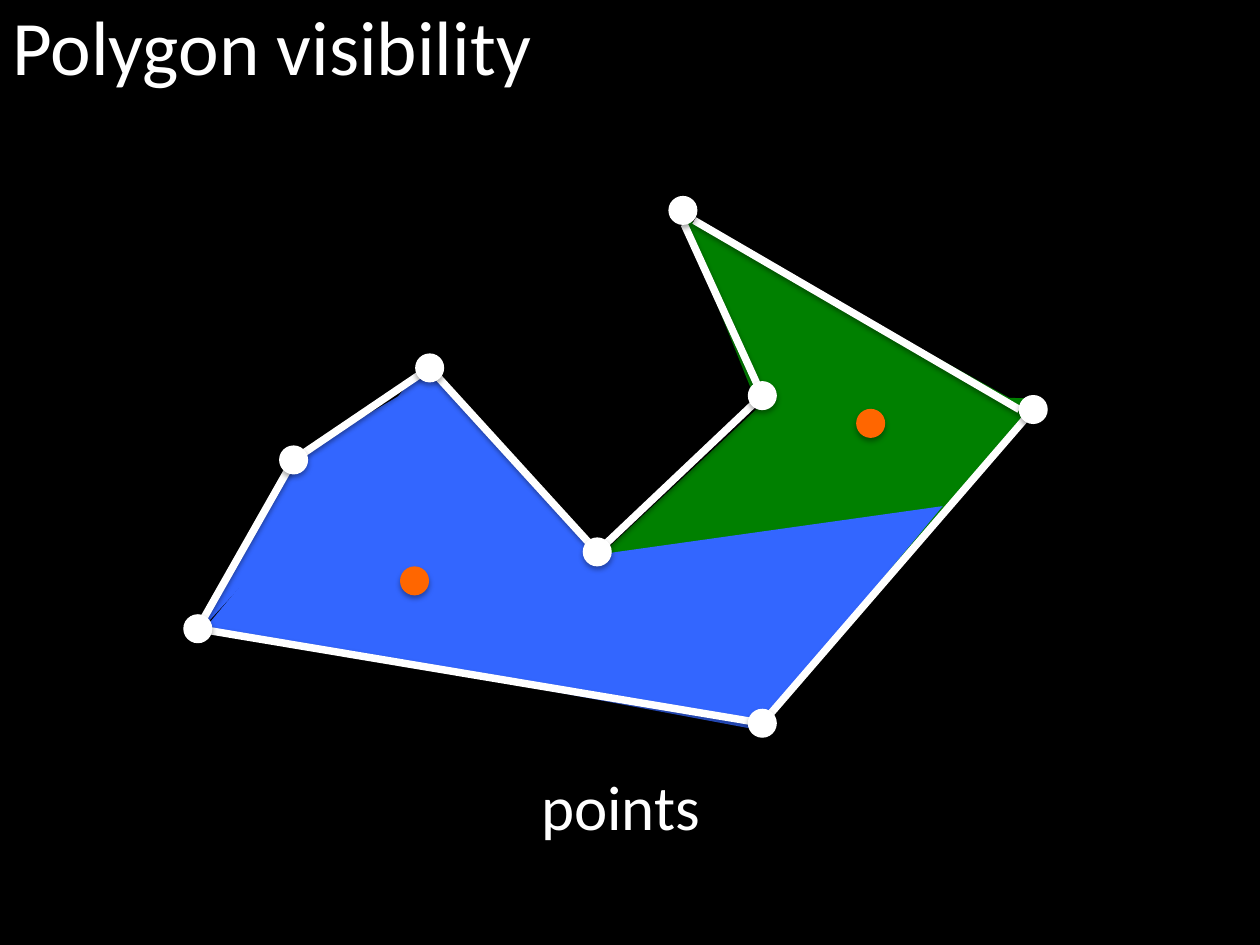
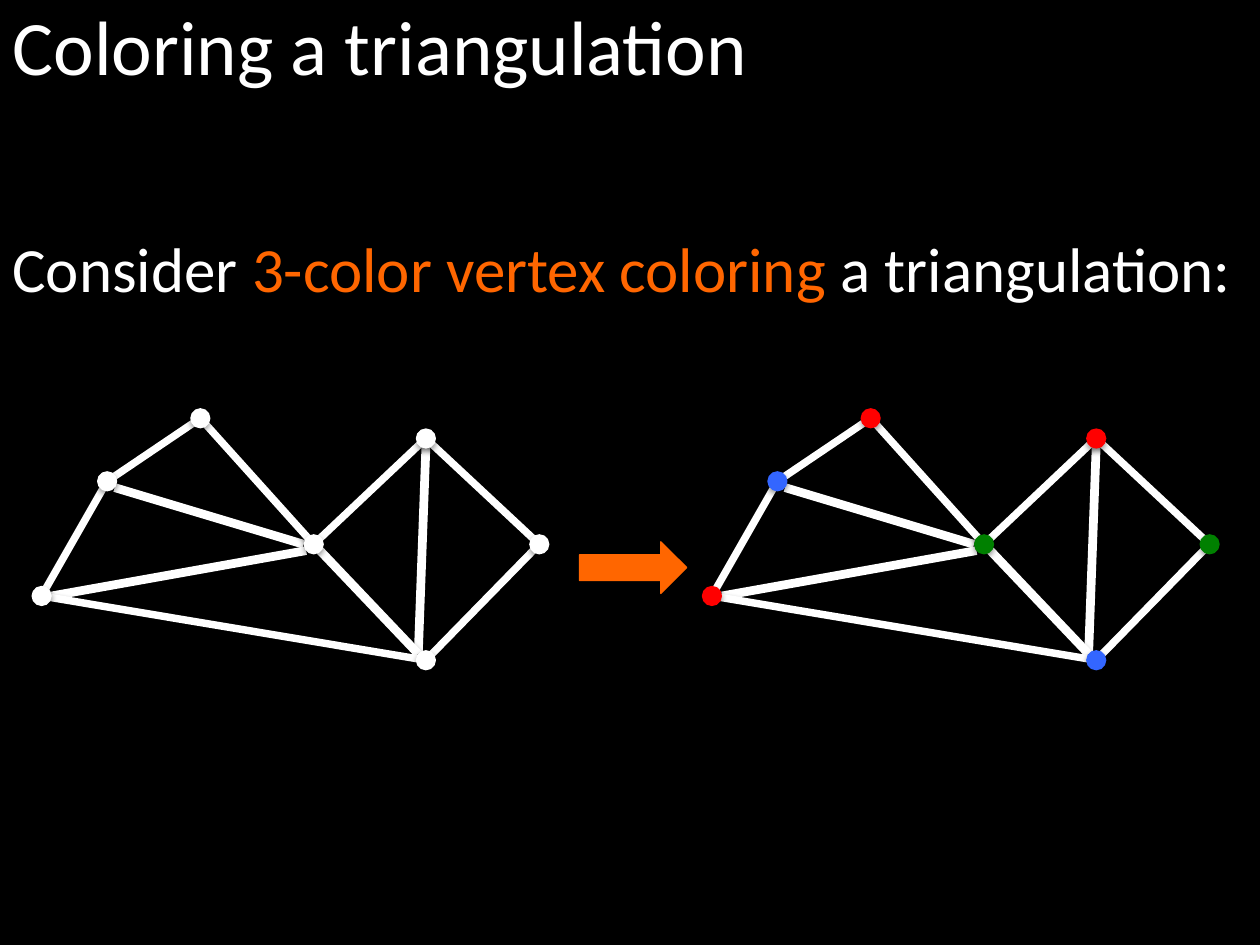
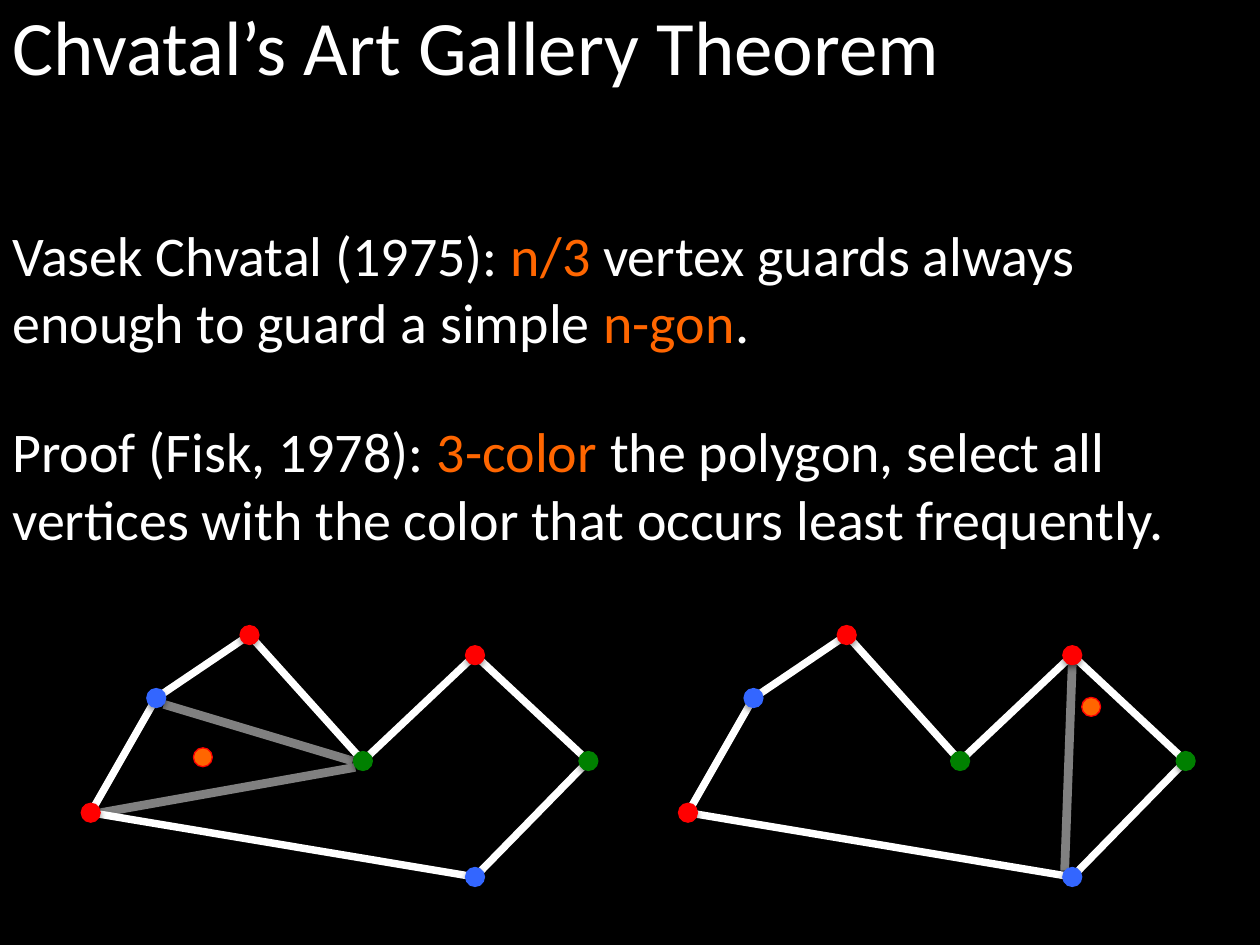
import dataclasses

import pptx
import pptx.dml.color
import pptx.enum.shapes
import pptx.enum.text
import pptx.oxml
import pptx.oxml.ns
import pptx.util
from lxml import etree

Inches, Pt = pptx.util.Inches, pptx.util.Pt
SHAPE = pptx.enum.shapes.MSO_SHAPE
ALIGN = pptx.enum.text.PP_ALIGN
qn = pptx.oxml.ns.qn


@dataclasses.dataclass(frozen=True)
class Theme:
    font: str = "Calibri"
    background: str = "000000"
    text: str = "FFFFFF"
    accent: str = "FF6600"
    red: str = "FF0000"
    green: str = "008000"
    blue: str = "3366FF"
    gray: str = "808080"
    title_size: float = 44
    label_size: float = 36
    body_size: float = 32
    edge_width: float = 4.25
    diagonal_width: float = 5
    outline_width: float = 0.75


THEME = Theme()

# Small polygon, measured from its first corner's left and its top corner's height
VERTICES = {
    "A": (0, 1.41), "B": (0.52, 0.5), "C": (1.26, 0), "D": (2.16, 1),
    "E": (3.05, 0.16), "F": (3.95, 1), "G": (3.05, 1.92),
}
EDGES = ("BC", "CD", "DE", "BA", "AG", "GF", "EF")
DIAGONALS = {
    "BD": ((0.58, 0.55), (2.08, 1)),
    "AD": ((0.08, 1.41), (2.1, 1.05)),
    "GE": ((2.99, 1.87), (3.05, 0.23)),
    "GD": ((2.99, 1.87), (2.21, 1.05)),
}
THREE_COLORING = {
    "A": THEME.red, "B": THEME.blue, "C": THEME.red, "D": THEME.green,
    "E": THEME.red, "F": THEME.green, "G": THEME.blue,
}
SMALL_DOT = 0.15

# Large polygon on the visibility slide
GALLERY = {
    "A": (1.57, 4.99), "B": (2.33, 3.65), "C": (3.41, 2.92), "D": (4.74, 4.38),
    "E": (6.05, 3.14), "apex": (5.42, 1.67), "G": (6.05, 5.74), "F": (8.2, 3.25),
}
GALLERY_EDGES = ("BC", "CD", "DE", "BA", "AG", "GF")
LARGE_DOT = 0.22

# Triangles: left, top, width, height, rotation, apex position
GREEN_REGION = [
    (3.24, 4.19, 4.31, 1.81, 153.6, 0.431),
    (4.78, 3.08, 3.43, 1.69, 310.2, 0.592),
    (4.96, 2.42, 3.19, 1, 209.1, 0.612),
    (4.45, 3.79, 2.23, 0.72, 136.9, 0.243),
]
BLUE_REGION = [
    (1.02, 3.68, 2.72, 0.37, 312.4, 0.562),
    (3.3, 4.31, 4.31, 1.55, 172, 0.395),
    (1.82, 3.01, 4.42, 2.39, 10.6, 0.302),
]


def rgb(color):
    return pptx.dml.color.RGBColor.from_string(color)


def cast_shadow(sp, opacity, distance):
    """Give a shape or connector a soft black shadow straight below it."""
    spPr = sp._element.spPr
    effects = spPr.find(qn("a:effectLst"))
    if effects is None:
        effects = etree.SubElement(spPr, qn("a:effectLst"))
    shadow = etree.SubElement(
        effects, qn("a:outerShdw"), blurRad=str(Pt(3.1)), dist=str(Pt(distance)),
        dir="5400000", rotWithShape="0")
    color = etree.SubElement(shadow, qn("a:srgbClr"), val="000000")
    etree.SubElement(color, qn("a:alpha"), val=str(opacity * 1000))


class Deck:
    def __init__(self, theme):
        self.theme = theme
        self.prs = pptx.Presentation()
        self.prs.slide_width, self.prs.slide_height = Inches(10), Inches(7.5)
        fill = self.prs.slide_master.background.fill
        fill.solid()
        fill.fore_color.rgb = rgb(theme.background)

    def new_slide(self, title):
        self.s = self.prs.slides.add_slide(self.prs.slide_layouts[6])
        self.shapes = self.s.shapes
        self.text(0, -0.06, 9.31, 0.84, [title], self.theme.title_size)

    def start_group(self):
        """Collect the elements that follow in a new group."""
        self.shapes = self.s.shapes.add_group_shape().shapes

    def end_group(self):
        self.shapes = self.s.shapes

    def text(self, x, y, w, h, lines, size, align=None, hanging=False):
        """Write one paragraph per line; words between asterisks are accented."""
        box = self.shapes.add_textbox(Inches(x), Inches(y), Inches(w), Inches(h))
        tf = box.text_frame
        tf.word_wrap = True
        tf.auto_size = pptx.enum.text.MSO_AUTO_SIZE.SHAPE_TO_FIT_TEXT
        for i, line in enumerate(lines):
            p = tf.add_paragraph() if i else tf.paragraphs[0]
            p.alignment = align
            if hanging:
                pPr = p._p.get_or_add_pPr()
                pPr.set("marL", str(Inches(0.81)))
                pPr.set("indent", str(-Inches(0.81)))
            for j, part in enumerate(line.split("*")):
                r = p.add_run()
                r.text = part
                r.font.name, r.font.size = self.theme.font, Pt(size)
                r.font.color.rgb = rgb(self.theme.accent if j % 2 else self.theme.text)

    def shape(self, kind, x, y, w, h, fill, outline=None):
        """Add a filled preset shape; an outlined one also casts a shadow."""
        sp = self.shapes.add_shape(kind, Inches(x), Inches(y), Inches(w), Inches(h))
        sp.shadow.inherit = False
        sp.fill.solid()
        sp.fill.fore_color.rgb = rgb(fill)
        if outline:
            sp.line.color.rgb = rgb(outline)
            sp.line.width = Pt(self.theme.outline_width)
            cast_shadow(sp, 35, 1.8)
        else:
            sp.line.fill.background()
        return sp

    def dot(self, center, size, fill, outline=None):
        x, y = center
        self.shape(SHAPE.OVAL, x - size / 2, y - size / 2, size, size, fill, outline or fill)

    def triangle(self, x, y, w, h, rotation, apex, fill):
        sp = self.shape(SHAPE.ISOSCELES_TRIANGLE, x, y, w, h, fill)
        sp.adjustments[0] = apex
        sp.rotation = rotation

    def edge(self, start, end, color=None, width=None):
        line = self.shapes.add_connector(
            pptx.enum.shapes.MSO_CONNECTOR.STRAIGHT, *map(Inches, (*start, *end)))
        line.line.color.rgb = rgb(color or self.theme.text)
        line.line.width = Pt(width or self.theme.edge_width)
        cast_shadow(line, 38, 1.6)

    def visible_region(self, triangles, point, color):
        """Draw the area seen from a point, with the point on top."""
        self.start_group()
        for triangle in triangles:
            self.triangle(*triangle, color)
        self.dot(point, LARGE_DOT, self.theme.accent)
        self.end_group()

    def polygon(self, left, top, diagonals, diagonal_color, coloring):
        def place(point):
            return left + point[0], top + point[1]

        for name in diagonals:
            start, end = DIAGONALS[name]
            self.edge(place(start), place(end), diagonal_color, self.theme.diagonal_width)
        for a, b in EDGES:
            self.edge(place(VERTICES[a]), place(VERTICES[b]))
        for name, vertex in VERTICES.items():
            self.dot(place(vertex), SMALL_DOT, coloring[name])


def visibility_slide(d):
    t = d.theme
    d.new_slide("Polygon visibility")
    d.visible_region(GREEN_REGION, (6.91, 3.36), t.green)
    d.visible_region(BLUE_REGION, (3.29, 4.61), t.blue)
    d.start_group()
    for a, b in GALLERY_EDGES:
        d.edge(GALLERY[a], GALLERY[b])
    d.edge(GALLERY["E"], (5.43, 1.78))
    d.edge((5.51, 1.75), (8.09, 3.25))
    for vertex in GALLERY.values():
        d.dot(vertex, LARGE_DOT, t.text)
    d.end_group()
    d.text(2.74, 6.04, 4.37, 0.71, ["points"], t.label_size, ALIGN.CENTER)


def coloring_slide(d):
    t = d.theme
    d.new_slide("Coloring a triangulation")
    d.text(0, 1.77, 10, 0.71, ["Consider *3-color vertex coloring* a triangulation:"],
           t.label_size, hanging=True)
    d.polygon(5.65, 3.32, DIAGONALS, t.text, THREE_COLORING)
    d.polygon(0.33, 3.32, DIAGONALS, t.text, dict.fromkeys(VERTICES, t.text))
    d.shape(SHAPE.RIGHT_ARROW, 4.6, 4.3, 0.85, 0.41, t.accent, t.accent)


def theorem_slide(d):
    t = d.theme
    d.new_slide("Chvatal’s Art Gallery Theorem")
    d.text(0, 1.7, 10, 1.18, ["Vasek Chvatal (1975): *n/3* vertex guards always",
                              "enough to guard a simple *n-gon*."],
           t.body_size, hanging=True)
    d.text(0, 3.26, 10, 1.18, ["Proof (Fisk, 1978): *3-color *the polygon, select all",
                               "vertices with the color that occurs least frequently."],
           t.body_size, hanging=True)
    for left, diagonals, point in ((0.72, ("BD", "AD"), (1.61, 6.01)),
                                   (5.46, ("GE",), (8.66, 5.61))):
        d.polygon(left, 5.04, diagonals, t.gray, THREE_COLORING)
        d.dot(point, SMALL_DOT, t.accent, t.red)


def main():
    d = Deck(THEME)
    visibility_slide(d)
    coloring_slide(d)
    theorem_slide(d)
    d.prs.save("out.pptx")


if __name__ == "__main__":
    main()
